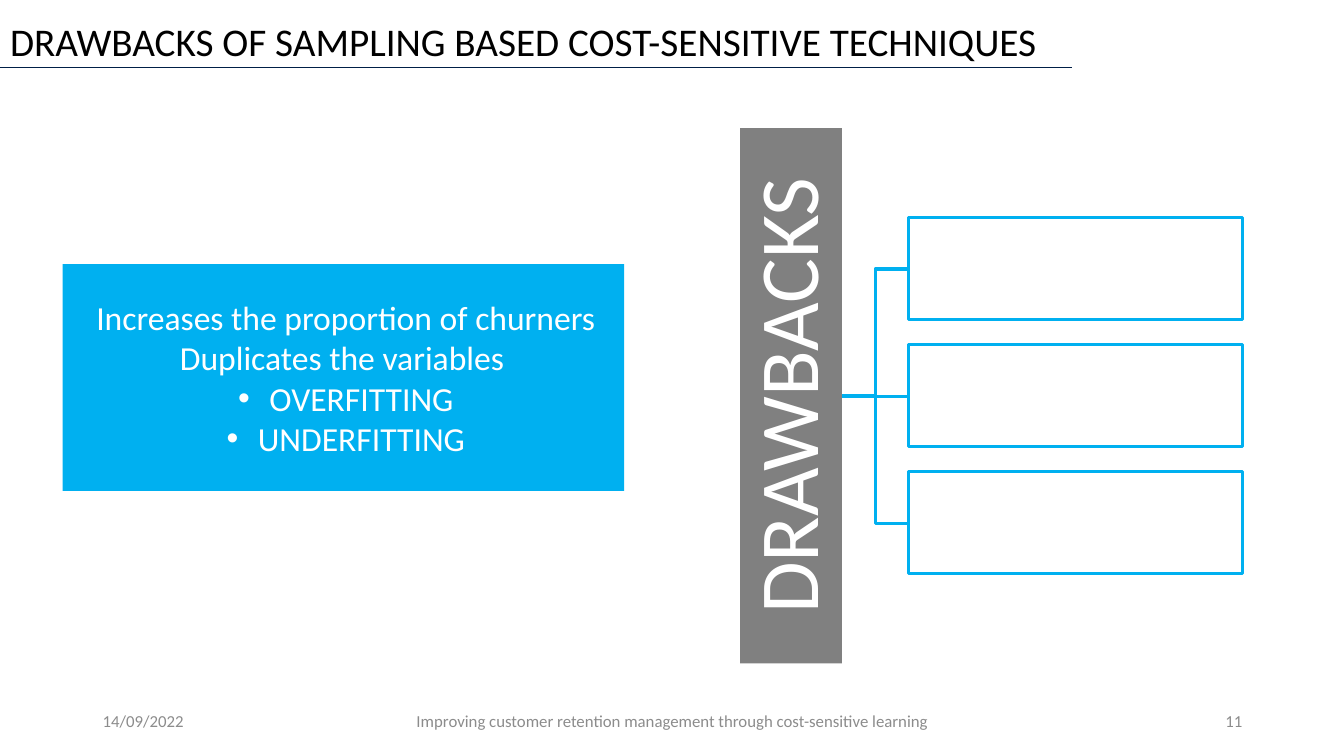
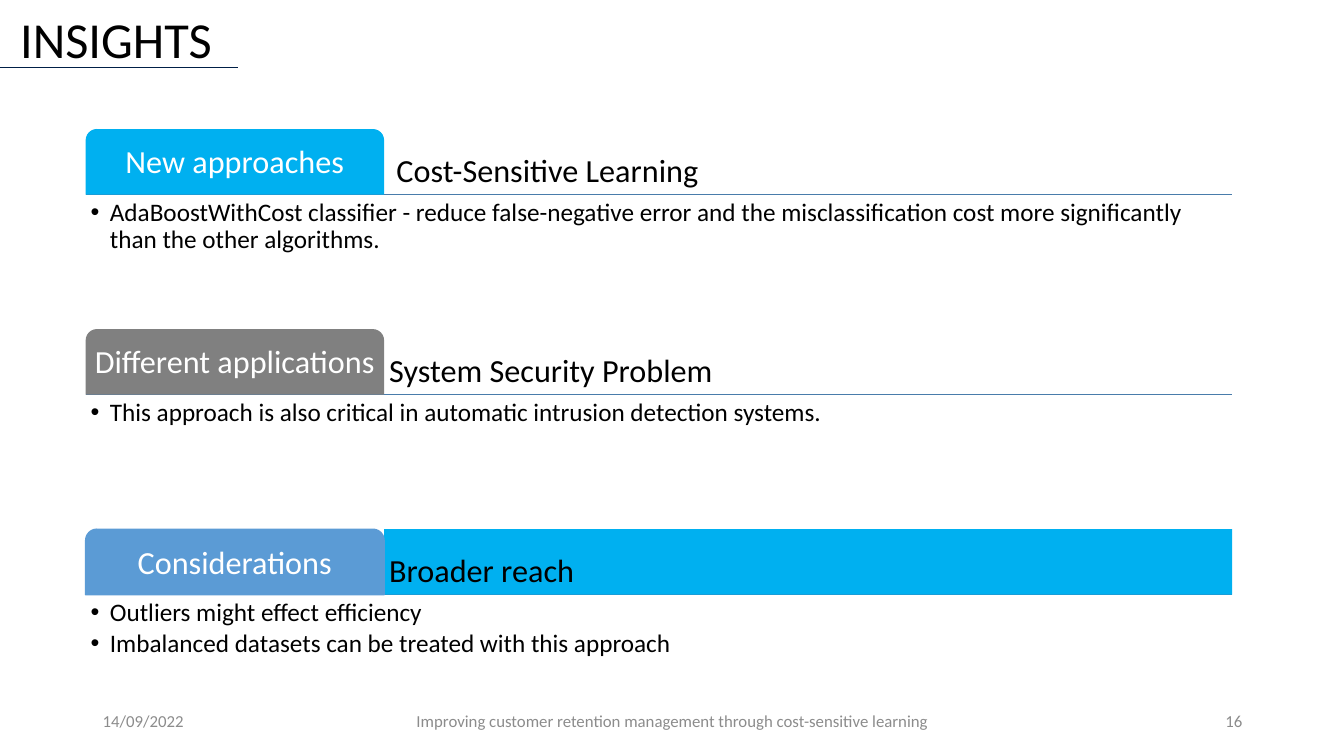
"""Build two slides on sampling drawbacks and cost-sensitive insights."""
from dataclasses import dataclass
from typing import Any, NamedTuple, Optional

from lxml.etree import SubElement
from pptx import Presentation
from pptx.dml.color import RGBColor
from pptx.enum.shapes import MSO_CONNECTOR, MSO_SHAPE
from pptx.enum.text import MSO_ANCHOR, MSO_AUTO_SIZE, PP_ALIGN
from pptx.oxml.ns import qn
from pptx.util import Inches, Pt

COLORS = {
    "black": "000000",
    "white": "FFFFFF",
    "cyan": "00B0F0",
    "gray": "808080",
    "blue": "5B9BD5",
    "rule": "497CAB",
    "navy": "001F46",
    "footer": "8C8C8C",
}
FONT = "Calibri"
FOOTER_TEXT = "Improving customer retention management through cost-sensitive learning"


class Box(NamedTuple):
    left: float
    top: float
    width: float
    height: float


class Line(NamedTuple):
    text: str
    bulleted: bool = False


@dataclass(frozen=True)
class TextStyle:
    size: float
    color: str = "black"
    align: Any = PP_ALIGN.LEFT
    anchor: Any = MSO_ANCHOR.MIDDLE
    spacing: float = 1.0
    after: float = 0
    indent: float = 0
    insets: tuple[float, float, float, float] = (0.1, 0.05, 0.1, 0.05)
    wrap: bool = True


@dataclass(frozen=True)
class Title:
    text: str
    box: Box
    style: TextStyle
    rule_end: float


@dataclass(frozen=True)
class Section:
    label: str
    heading: str
    points: tuple[str, ...]
    tab_color: str
    tab_line: Optional[str] = None
    band_color: Optional[str] = None


SMALL_INSETS = (0.05, 0.05, 0.05, 0.05)
TAB_INSETS = (0.04, 0.05, 0.04, 0.05)
LIST_STYLE = TextStyle(24, "white", PP_ALIGN.CENTER, indent=0.31, insets=(0.16, 0.05, 0.11, 0.05))
BANNER_STYLE = TextStyle(60, "white", PP_ALIGN.CENTER, spacing=0.9, insets=(0.04, 0.04, 0.04, 0.04))
TAB_STYLE = TextStyle(23, "white", PP_ALIGN.CENTER, spacing=0.9, insets=TAB_INSETS)
HEADING_STYLE = TextStyle(23, anchor=MSO_ANCHOR.BOTTOM, spacing=0.9, insets=SMALL_INSETS)
POINT_STYLE = TextStyle(18, anchor=MSO_ANCHOR.TOP, spacing=0.9, after=2.7, indent=0.19, insets=SMALL_INSETS)

DRAWBACKS_TITLE = Title(
    "DRAWBACKS OF SAMPLING BASED COST-SENSITIVE TECHNIQUES",
    Box(0, 0.06, 10.5, 0.74), TextStyle(28, spacing=0.9), 10.63,
)
INSIGHTS_TITLE = Title("INSIGHTS", Box(0.1, 0.03, 2.12, 0.71), TextStyle(36, wrap=False), 2.36)
EFFECTS = [
    Line("Increases the proportion of churners"),
    Line("Duplicates the variables "),
    Line("OVERFITTING", True),
    Line("UNDERFITTING", True),
]
SECTIONS = [
    Section(
        "New approaches", "\u00a0Cost-Sensitive Learning",
        ("AdaBoostWithCost classifier - reduce false-negative error and the "
         "misclassification cost more significantly than the other algorithms.",),
        "cyan",
    ),
    Section(
        "Different applications", "System Security Problem",
        ("This approach is also critical in automatic intrusion detection systems.",),
        "gray",
    ),
    Section(
        "Considerations", "Broader reach",
        ("Outliers might effect efficiency",
         "Imbalanced datasets can be treated with this approach"),
        "blue", tab_line="blue", band_color="cyan",
    ),
]


def rgb(name: str) -> RGBColor:
    """Return a palette colour."""
    return RGBColor.from_string(COLORS[name])


def apply_format(target: Any, values: dict[str, Any]) -> None:
    """Set each named attribute on the target."""
    for name, value in values.items():
        setattr(target, name, value)


def place(shape: Any, box: Box) -> None:
    """Move and size a shape in inches."""
    apply_format(shape, {name: Inches(value) for name, value in box._asdict().items()})


def set_bullet(paragraph: Any, bulleted: bool, indent: float) -> None:
    """Give a paragraph a hanging bullet or remove the inherited one."""
    properties = paragraph._p.get_or_add_pPr()
    margin = Inches(indent) if bulleted else 0
    properties.set("marL", str(margin))
    properties.set("indent", str(-margin))
    if bulleted:
        SubElement(properties, qn("a:buFont")).set("typeface", "Arial")
        SubElement(properties, qn("a:buChar")).set("char", "\u2022")
    else:
        SubElement(properties, qn("a:buNone"))


def write(shape: Any, lines: list[Line], style: TextStyle) -> None:
    """Fill a shape with formatted paragraphs."""
    frame = shape.text_frame
    left, top, right, bottom = map(Inches, style.insets)
    apply_format(frame, {
        "auto_size": MSO_AUTO_SIZE.NONE, "word_wrap": style.wrap,
        "vertical_anchor": style.anchor,
        "margin_left": left, "margin_top": top,
        "margin_right": right, "margin_bottom": bottom,
    })
    for index, line in enumerate(lines):
        paragraph = frame.add_paragraph() if index else frame.paragraphs[0]
        apply_format(paragraph, {
            "alignment": style.align, "line_spacing": style.spacing,
            "space_before": Pt(0), "space_after": Pt(style.after),
        })
        set_bullet(paragraph, line.bulleted, style.indent)
        run = paragraph.add_run()
        run.text = line.text
        apply_format(run.font, {"name": FONT, "size": Pt(style.size), "bold": False})
        run.font.color.rgb = rgb(style.color)


def paint(shape: Any, color: str) -> None:
    """Fill a shape with a solid colour."""
    shape.fill.solid()
    shape.fill.fore_color.rgb = rgb(color)


def outline(shape: Any, color: str, width: float) -> None:
    """Draw a solid line around or along a shape."""
    shape.line.color.rgb = rgb(color)
    shape.line.width = Pt(width)


def add_panel(slide: Any, kind: Any, box: Box, fill: str,
              line: Optional[str] = None, line_width: float = 1) -> Any:
    """Add a flat filled shape."""
    shape = slide.shapes.add_shape(kind, *map(Inches, box))
    shape.shadow.inherit = False
    paint(shape, fill)
    if line:
        outline(shape, line, line_width)
    else:
        shape.line.fill.background()
    return shape


def add_text(slide: Any, text: str, box: Box, style: TextStyle) -> None:
    """Add a one-line text box."""
    write(slide.shapes.add_textbox(*map(Inches, box)), [Line(text)], style)


def add_line(slide: Any, start: tuple[float, float], end: tuple[float, float],
             color: str, width: float, kind: Any = MSO_CONNECTOR.STRAIGHT) -> None:
    """Add a connector without a shadow."""
    connector = slide.shapes.add_connector(kind, *map(Inches, (*start, *end)))
    outline(connector, color, width)
    SubElement(connector._element.spPr, qn("a:effectLst"))


def start_slide(presentation: Any, layout: int, title: Title, number: int) -> Any:
    """Add a slide with its title, title rule and footer."""
    slide = presentation.slides.add_slide(presentation.slide_layouts[layout])
    place(slide.shapes.title, title.box)
    write(slide.shapes.title, [Line(title.text)], title.style)
    add_line(slide, (0, 0.67), (title.rule_end, 0.67), "navy", 0.5)
    footers = [
        ("14/09/2022", 0.92, 3, PP_ALIGN.LEFT),
        (FOOTER_TEXT, 3.92, 5.5, PP_ALIGN.CENTER),
        (str(number), 9.42, 3, PP_ALIGN.RIGHT),
    ]
    for text, left, width, align in footers:
        add_text(slide, text, Box(left, 6.95, width, 0.4), TextStyle(12, "footer", align))
    return slide


def build_drawbacks(presentation: Any) -> None:
    """Build the effects panel and the drawbacks tree."""
    slide = start_slide(presentation, 1, DRAWBACKS_TITLE, 11)
    effects = slide.placeholders[1]
    place(effects, Box(0.62, 2.62, 5.57, 2.25))
    paint(effects, "cyan")
    write(effects, EFFECTS, LIST_STYLE)

    trunk, branch_left, middle, pitch = 8.35, 9.01, 3.93, 1.26
    for step in (-1, 0, 1):
        center = middle + step * pitch
        kind = MSO_CONNECTOR.ELBOW if step else MSO_CONNECTOR.STRAIGHT
        add_line(slide, (trunk, middle), (branch_left, center), "cyan", 2.25, kind)
        add_panel(slide, MSO_SHAPE.RECTANGLE, Box(branch_left, center - 0.51, 3.31, 1.01),
                  "white", "cyan", 2.25)
    banner = add_panel(slide, MSO_SHAPE.RECTANGLE, Box(5.19, 3.42, 5.31, 1.01), "gray")
    banner.rotation = 270
    write(banner, [Line("DRAWBACKS")], BANNER_STYLE)


def draw_section(slide: Any, section: Section, body: Any, top: float) -> None:
    """Draw one tab with its heading, rule and list."""
    left, tab_width, heading_width, height = 0.85, 2.96, 8.41, 0.65
    bottom, width = top + height, tab_width + heading_width
    heading_box = Box(left + tab_width, top, heading_width, height)
    add_line(slide, (left, bottom), (left + width, bottom), "rule", 1)
    if section.band_color:
        add_panel(slide, MSO_SHAPE.RECTANGLE, heading_box, section.band_color)
    add_text(slide, section.heading, heading_box, HEADING_STYLE)
    tab = add_panel(slide, MSO_SHAPE.ROUND_2_SAME_RECTANGLE, Box(left, top, tab_width, height),
                    section.tab_color, section.tab_line)
    tab.adjustments[0], tab.adjustments[1] = 0.17, 0
    write(tab, [Line(section.label)], TAB_STYLE)
    place(body, Box(left, bottom, width, 1.3))
    write(body, [Line(point, True) for point in section.points], POINT_STYLE)


def build_insights(presentation: Any) -> None:
    """Build the three insight sections."""
    slide = start_slide(presentation, 4, INSIGHTS_TITLE, 16)
    *bodies, spare = list(slide.placeholders)[1:]
    spare._element.getparent().remove(spare._element)
    for index, (section, body) in enumerate(zip(SECTIONS, bodies)):
        draw_section(slide, section, body, 1.28 + index * 3.97 / 2)


def main() -> None:
    """Create and save the presentation."""
    presentation = Presentation()
    apply_format(presentation, {"slide_width": Inches(13.33), "slide_height": Inches(7.5)})
    build_drawbacks(presentation)
    build_insights(presentation)
    presentation.save("out.pptx")


main()
